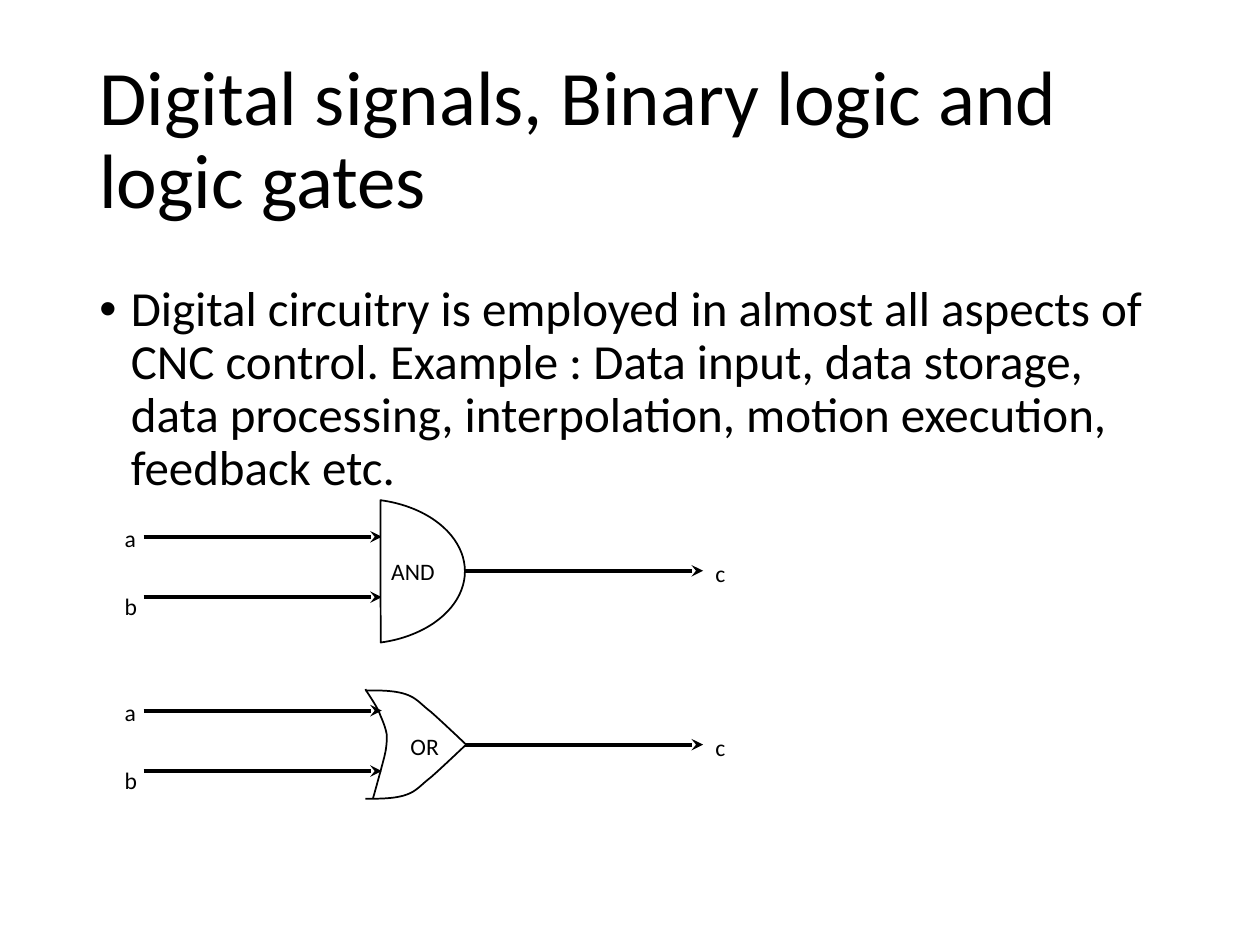
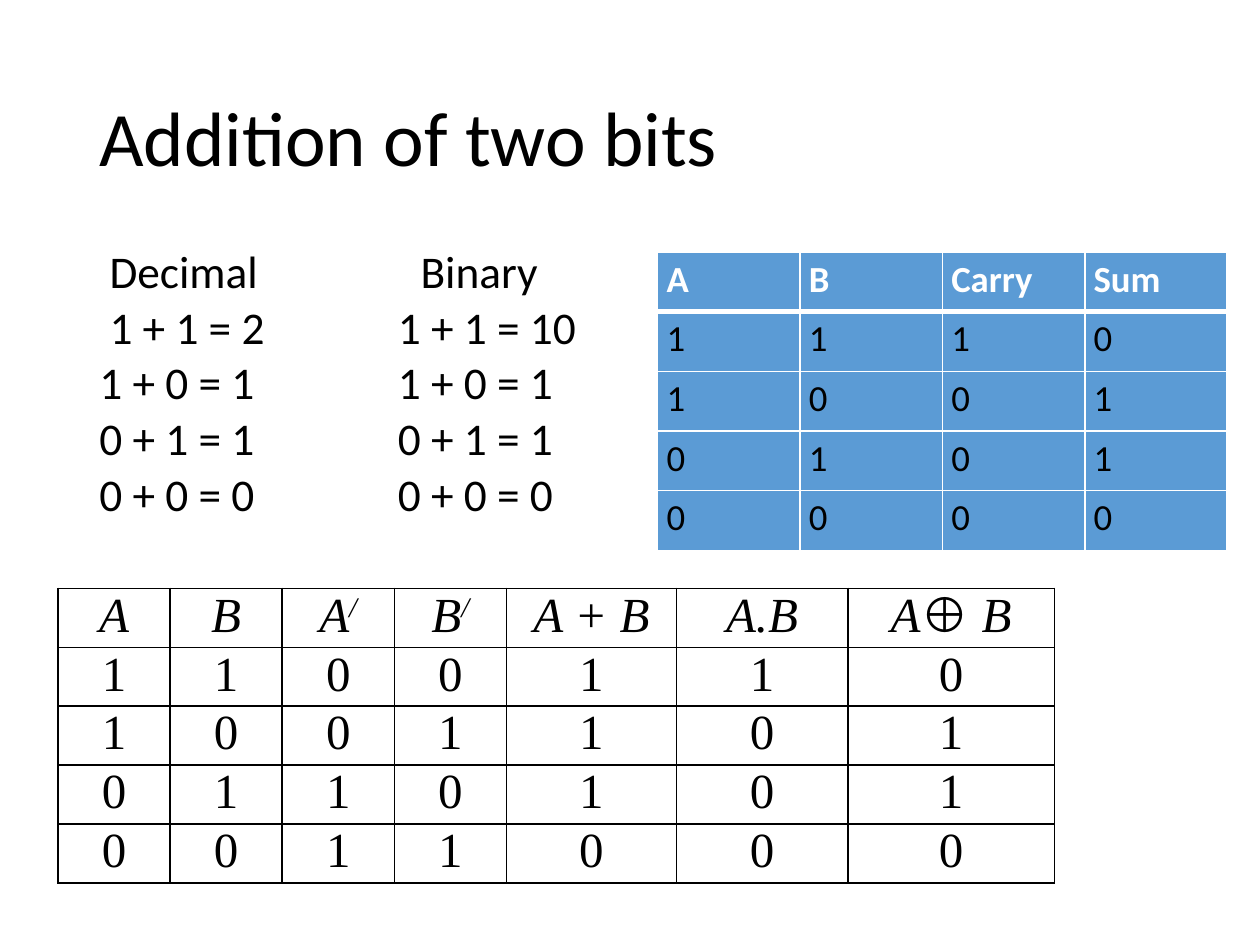
import pptx
import pptx.dml.color
import pptx.enum.shapes
import pptx.enum.text
import pptx.oxml
import pptx.oxml.ns
import pptx.util
from lxml import etree
from pptx.util import Inches

BLACK, WHITE, BLUE = "000000", "FFFFFF", "5B9BD5"
SANS, SERIF = "Calibri", "Times New Roman"
LABEL_SIZE = 13.5
qn = pptx.oxml.ns.qn
color = pptx.dml.color.RGBColor.from_string


def add_span(para, text, size, font=SANS, ink=BLACK):
    span = para.add_run()
    span.text = text
    span.font.size = pptx.util.Pt(size)
    span.font.name = font
    span.font.color.rgb = color(ink)
    return span


def add_box(shapes, left, top, width, height):
    box = shapes.add_textbox(Inches(left), Inches(top), Inches(width), Inches(height))
    box.text_frame.word_wrap = True
    return box.text_frame


deck = pptx.Presentation()
deck.slide_width, deck.slide_height = Inches(10), Inches(7.5)

# Both pages with their titles
pages = []
for title in ("Digital signals, Binary logic and logic gates", "Addition of two bits"):
    page = deck.slides.add_slide(deck.slide_layouts[6])
    frame = add_box(page.shapes, 0.69, 0.4, 8.62, 1.45)
    frame.vertical_anchor = pptx.enum.text.MSO_ANCHOR.MIDDLE
    frame.paragraphs[0].line_spacing = 0.9
    add_span(frame.paragraphs[0], title, 44)
    pages.append(page)
gates_page, addition_page = pages

# Page 1: bullet
para = add_box(gates_page.shapes, 0.69, 2.21, 8.62, 3.8).paragraphs[0]
para.line_spacing = 0.9
props = para._p.get_or_add_pPr()
props.set("marL", str(Inches(0.25)))
props.set("indent", str(Inches(-0.25)))
etree.SubElement(props, qn("a:buFont"), typeface="Arial")
etree.SubElement(props, qn("a:buChar"), char="•")
add_span(para, "Digital circuitry is employed in almost all aspects of CNC control. "
         "Example : Data input, data storage, data processing, interpolation, "
         "motion execution, feedback etc.", 28)

# Page 1: each gate has two inputs, one output and their labels
groups = []
for drop in (0, 1.38):
    shapes = gates_page.shapes.add_group_shape().shapes
    for left, right, height in ((1.14, 3.03, 4.26), (1.14, 3.03, 4.74), (3.69, 5.58, 4.53)):
        y = Inches(height + drop)
        wire = shapes.add_connector(pptx.enum.shapes.MSO_CONNECTOR.STRAIGHT,
                                    Inches(left), y, Inches(right), y)
        wire.line.color.rgb = color(BLACK)
        wire.line.width = pptx.util.Pt(2.25)
        etree.SubElement(wire.line._get_or_add_ln(), qn("a:tailEnd"), type="stealth")
        etree.SubElement(wire._element.spPr, qn("a:effectLst"))
    for label, left, top in (("a", 0.89, 4.11), ("b", 0.89, 4.65), ("c", 5.58, 4.39)):
        frame = add_box(shapes, left, top + drop, 0.29, 0.33)
        add_span(frame.paragraphs[0], label, LABEL_SIZE)
    groups.append(shapes)
and_group, or_group = groups

# AND gate: the right part of an ellipse
and_gate = and_group.add_shape(pptx.enum.shapes.MSO_SHAPE.CHORD,
                               Inches(2.04), Inches(3.96), Inches(1.65), Inches(1.15))
for index, degrees in enumerate((285.3, 74.5)):
    and_gate.adjustments[index] = degrees * 0.6
and_gate.fill.solid()
and_gate.fill.fore_color.rgb = color(WHITE)
frame = and_gate.text_frame
frame.margin_left = frame.margin_right = frame.margin_top = frame.margin_bottom = 0
frame.vertical_anchor = pptx.enum.text.MSO_ANCHOR.MIDDLE
frame.paragraphs[0].alignment = pptx.enum.text.PP_ALIGN.RIGHT
add_span(frame.paragraphs[0], "AND", LABEL_SIZE)

# OR gate: three outlines, each a chain of cubic curves (start, then three points a curve)
back = [(2.9, 5.47), (2.95, 5.55), (3, 5.62), (3.02, 5.68), (3.05, 5.75), (3.06, 5.78),
        (3.07, 5.83), (3.07, 5.89), (3.07, 5.93), (3.05, 6.01), (3.03, 6.09),
        (2.96, 6.34), (2.96, 6.34)]
upper = [(2.9, 5.48), (3.02, 5.48), (3.13, 5.48), (3.22, 5.51), (3.31, 5.54), (3.34, 5.59),
         (3.42, 5.65), (3.5, 5.72), (3.7, 5.91), (3.7, 5.91)]
lower = [(x, 11.82 - y) for x, y in upper]
outlines = [and_gate]
STEPS = 12
for curve in (back, upper, lower):
    points = []
    for first in range(0, len(curve) - 1, 3):
        for step in range(1, STEPS + 1):
            t = step / STEPS
            weights = ((1 - t) ** 3, 3 * t * (1 - t) ** 2, 3 * t ** 2 * (1 - t), t ** 3)
            points.append([
                Inches(sum(w * p[axis] for w, p in zip(weights, curve[first:first + 4])))
                for axis in (0, 1)])
    builder = or_group.build_freeform(Inches(curve[0][0]), Inches(curve[0][1]))
    builder.add_line_segments(points, close=False)
    outline = builder.convert_to_shape()
    outline.fill.background()
    outlines.append(outline)
for outline in outlines:
    outline.shadow.inherit = False
    outline.line.color.rgb = color(BLACK)
    outline.line.width = pptx.util.Pt(1)
add_span(add_box(or_group, 3.16, 5.76, 0.5, 0.33).paragraphs[0], "OR", LABEL_SIZE)

# Page 2: decimal and binary sums in two tabbed columns
sums = ((" Decimal", "Binary", 2.55), (" 1 + 1 = 2", "1 + 1 = 10", 2.37),
        ("1 + 0 = 1", "1 + 0 = 1", 2.37), ("0 + 1 = 1", "0 + 1 = 1", 2.37),
        ("0 + 0 = 0", "0 + 0 = 0", 2.37))
frame = add_box(addition_page.shapes, 0.69, 2, 4.33, 2.68)
for index, (decimal, binary, tab) in enumerate(sums):
    para = frame.add_paragraph() if index else frame.paragraphs[0]
    para.line_spacing = 0.7
    if index:
        para.space_before = pptx.util.Pt(10)
    tabs = etree.SubElement(para._p.get_or_add_pPr(), qn("a:tabLst"))
    etree.SubElement(tabs, qn("a:tab"), pos=str(Inches(tab)), algn="l")
    add_span(para, decimal + "\t" + binary, 25.9)

# Page 2: adder table and truth table
adder = dict(
    rows=(("A", "B", "Carry", "Sum"), "1110", "1001", "0101", "0000"),
    left=5.22, top=2, widths=[1.13] * 4, row_height=0.474, margins=(0.07, 0.04),
    size=21, font=SANS, head_ink=WHITE, fill=BLUE, border=WHITE, head_rule=3,
    align=pptx.enum.text.PP_ALIGN.LEFT)
truth = dict(
    rows=(("A", "B", "A/", "B/", "A + B", "A.B", "A⊕ B"),
          "1100110", "1001101", "0110101", "0011000"),
    left=0.46, top=4.67, widths=[0.89] * 4 + [1.35, 1.36, 1.64], row_height=0.39,
    margins=(0.06, 0), size=28, font=SERIF, head_ink=BLACK, fill=None, border=BLACK,
    head_rule=1, align=pptx.enum.text.PP_ALIGN.CENTER)
for plan in (adder, truth):
    rows, widths = plan["rows"], plan["widths"]
    table = addition_page.shapes.add_table(
        len(rows), len(widths), Inches(plan["left"]), Inches(plan["top"]),
        Inches(sum(widths)), Inches(plan["row_height"] * len(rows))).table
    table.first_row = table.horz_banding = False
    for column, width in zip(table.columns, widths):
        column.width = Inches(width)
    for row_index, row in enumerate(rows):
        table.rows[row_index].height = Inches(plan["row_height"])
        is_head = row_index == 0
        for column_index, text in enumerate(row):
            cell = table.cell(row_index, column_index)
            cell.margin_left = cell.margin_right = Inches(plan["margins"][0])
            cell.margin_top = cell.margin_bottom = Inches(plan["margins"][1])
            para = cell.text_frame.paragraphs[0]
            para.alignment = plan["align"]
            # A slash after a letter is a raised complement mark
            for piece in filter(None, text.partition("/")):
                span = add_span(para, piece, plan["size"], plan["font"],
                                plan["head_ink"] if is_head else BLACK)
                span.font.bold = is_head and plan is adder
                span.font.italic = is_head and plan is truth
                if piece == "/":
                    span._r.get_or_add_rPr().set("baseline", "30000")
            # Borders come before the fill in the cell properties
            for side in "LRTB":
                heavy = (is_head and side == "B") or (row_index == 1 and side == "T")
                points = plan["head_rule"] if heavy else 1
                edge = etree.SubElement(cell._tc.get_or_add_tcPr(), qn("a:ln" + side),
                                        w=str(pptx.util.Pt(points)))
                paint = etree.SubElement(edge, qn("a:solidFill"))
                etree.SubElement(paint, qn("a:srgbClr"), val=plan["border"])
            if plan["fill"]:
                cell.fill.solid()
                cell.fill.fore_color.rgb = color(plan["fill"])
            else:
                cell.fill.background()

deck.save("out.pptx")
